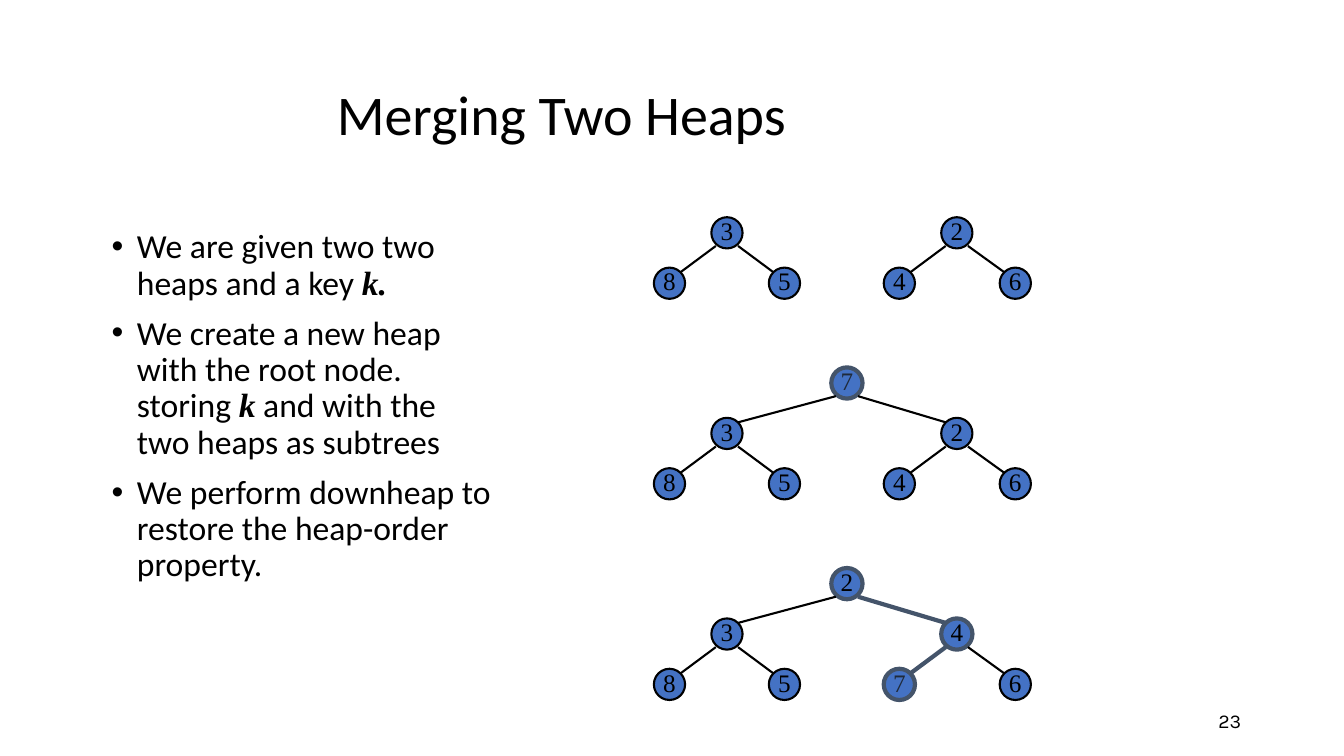
import pptx
import pptx.dml.color
import pptx.enum.shapes
import pptx.enum.text
import pptx.oxml
import pptx.oxml.ns
import pptx.util
from pptx.util import Inches

BLACK = pptx.dml.color.RGBColor(0x00, 0x00, 0x00)
BLUE = pptx.dml.color.RGBColor(0x44, 0x72, 0xC4)
SLATE = pptx.dml.color.RGBColor(0x44, 0x54, 0x6A)
DARK_SLATE = pptx.dml.color.RGBColor(0x1F, 0x2A, 0x3A)
SANS, SERIF = "Calibri", "Times New Roman"
MIDDLE = pptx.enum.text.MSO_ANCHOR.MIDDLE
ALIGN = pptx.enum.text.PP_ALIGN

NODE_SIZE = 0.31
EDGE_INSET = 0.11
LEVEL_GAP = 0.5
# Node centres across, in level order: root, two subtree roots, four leaves
NODE_X = [8.4, 7.21, 9.49, 6.64, 7.78, 8.92, 10.07]

# Top of each stage, keys in level order, highlighted nodes, highlighted edges
# (by child), and nodes whose key is slate
STAGES = [
    (1.81, [None, 3, 2, 8, 5, 4, 6], (), (), ()),
    (3.8, [7, 3, 2, 8, 5, 4, 6], (0,), (), (0,)),
    (5.79, [2, 3, 4, 8, 5, 7, 6], (0, 2, 5), (2, 5), (5,)),
]

# Each bullet is a list of (text, is a variable) spans
BULLETS = [
    [("We are given two two heaps and a key ", False), ("k.", True)],
    [("We create a new heap with the root node. storing ", False), ("k", True),
     (" and with the two heaps as subtrees", False)],
    [("We perform downheap to restore the heap-order property.", False)],
]


def add_span(para, text, font=SANS, size=24, color=BLACK, bold=False, italic=False):
    span = para.add_run()
    span.text = text
    span.font.name = font
    span.font.size = pptx.util.Pt(size)
    span.font.color.rgb = color
    span.font.bold = bold
    span.font.italic = italic


def set_bullet(para):
    properties = para._p.get_or_add_pPr()
    properties.set("marL", str(Inches(0.25)))
    properties.set("indent", str(Inches(-0.25)))
    namespace = pptx.oxml.ns.nsdecls("a")
    properties.append(pptx.oxml.parse_xml(f'<a:buFont {namespace} typeface="Arial"/>'))
    properties.append(pptx.oxml.parse_xml(f'<a:buChar {namespace} char="•"/>'))


def add_title(page, text):
    title = page.shapes.title
    title.left, title.top = Inches(3.24), Inches(0.67)
    title.width, title.height = Inches(5.32), Inches(0.99)
    frame = title.text_frame
    frame.auto_size = pptx.enum.text.MSO_AUTO_SIZE.NONE
    frame.vertical_anchor = MIDDLE
    para = frame.paragraphs[0]
    para.alignment = ALIGN.LEFT
    para.line_spacing = 0.9
    add_span(para, text, size=40)


def add_bullets(page, bullets):
    box = page.shapes.add_textbox(Inches(1.01), Inches(2.23), Inches(4), Inches(4.5))
    frame = box.text_frame
    frame.word_wrap = True
    for index, spans in enumerate(bullets):
        para = frame.add_paragraph() if index else frame.paragraphs[0]
        para.line_spacing = 0.9
        para.space_before = pptx.util.Pt(10)
        set_bullet(para)
        for text, variable in spans:
            add_span(para, text, font=SERIF if variable else SANS,
                     bold=variable, italic=variable)


def add_page_number(page, number):
    box = page.shapes.add_textbox(Inches(9.41), Inches(6.95), Inches(3), Inches(0.4))
    frame = box.text_frame
    frame.word_wrap = True
    frame.vertical_anchor = MIDDLE
    para = frame.paragraphs[0]
    para.alignment = ALIGN.RIGHT
    add_span(para, number, font="Karla", size=14)


def set_stroke(line, highlighted):
    line.color.rgb = SLATE if highlighted else BLACK
    line.width = pptx.util.Pt(3 if highlighted else 1.5)


def add_node(page, center, key, highlighted, key_color):
    left, top = (value - NODE_SIZE / 2 for value in center)
    node = page.shapes.add_shape(
        pptx.enum.shapes.MSO_SHAPE.OVAL, Inches(left), Inches(top),
        Inches(NODE_SIZE), Inches(NODE_SIZE))
    node.shadow.inherit = False
    node.fill.solid()
    node.fill.fore_color.rgb = BLUE
    set_stroke(node.line, highlighted)
    frame = node.text_frame
    frame.margin_left = frame.margin_right = frame.margin_top = 0
    frame.margin_bottom = Inches(0.05)
    frame.word_wrap = False
    frame.vertical_anchor = MIDDLE
    para = frame.paragraphs[0]
    para.alignment = ALIGN.CENTER
    add_span(para, str(key), font=SERIF, size=18, color=key_color)


def add_edge(page, child, parent, highlighted):
    """Join the facing rims of two nodes, given by their centres."""
    shift = EDGE_INSET if child[0] < parent[0] else -EDGE_INSET
    edge = page.shapes.add_connector(
        pptx.enum.shapes.MSO_CONNECTOR.STRAIGHT,
        Inches(child[0] + shift), Inches(child[1] - EDGE_INSET),
        Inches(parent[0] - shift), Inches(parent[1] + EDGE_INSET + 0.02))
    set_stroke(edge.line, highlighted)
    edge._element.spPr.append(pptx.oxml.parse_xml(
        f'<a:effectLst {pptx.oxml.ns.nsdecls("a")}/>'))


def add_heap(page, top, keys, marked_nodes, marked_edges, slate_keys):
    centers = [(x, top + LEVEL_GAP * ((index + 1).bit_length() - 1))
               for index, x in enumerate(NODE_X)]
    for index, key in enumerate(keys):
        if key is None:
            continue
        parent = (index - 1) // 2
        if index and keys[parent] is not None:
            add_edge(page, centers[index], centers[parent], index in marked_edges)
        add_node(page, centers[index], key, index in marked_nodes,
                 DARK_SLATE if index in slate_keys else BLACK)


def main():
    deck = pptx.Presentation()
    deck.slide_width, deck.slide_height = Inches(13.33), Inches(7.5)
    page = deck.slides.add_slide(deck.slide_layouts.get_by_name("Title Only"))
    add_title(page, "Merging Two Heaps")
    add_bullets(page, BULLETS)
    for stage in STAGES:
        add_heap(page, *stage)
    add_page_number(page, "23")
    deck.save("out.pptx")


if __name__ == "__main__":
    main()
